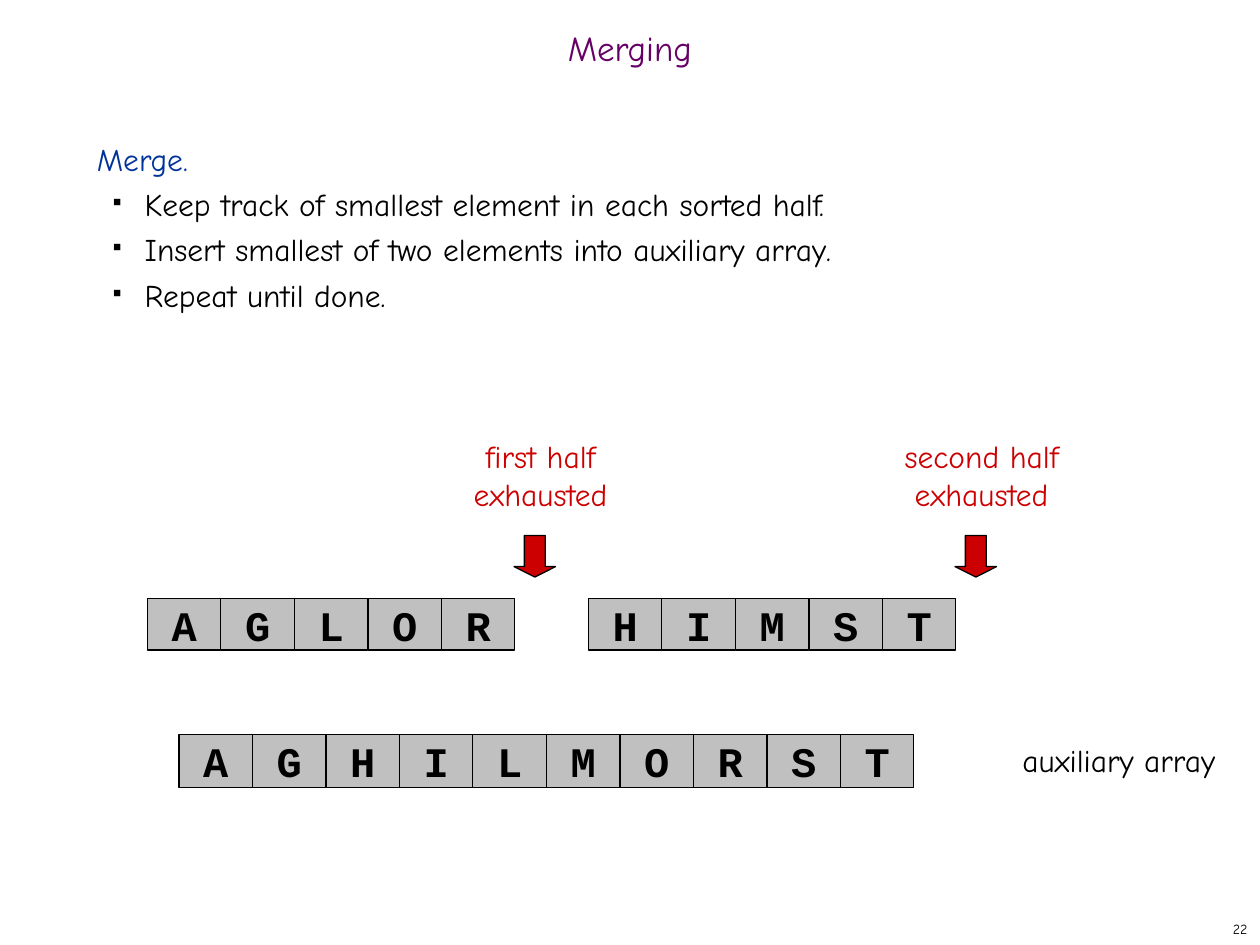
from lxml import etree
from pptx import Presentation
from pptx.dml.color import RGBColor
from pptx.enum.shapes import MSO_SHAPE
from pptx.enum.text import MSO_ANCHOR, MSO_AUTO_SIZE, PP_ALIGN
from pptx.oxml.ns import qn
from pptx.util import Inches, Pt

RECT, ARROW = MSO_SHAPE.RECTANGLE, MSO_SHAPE.DOWN_ARROW
TOP, MID = MSO_ANCHOR.TOP, MSO_ANCHOR.MIDDLE
LEFT, CENTER, RIGHT = PP_ALIGN.LEFT, PP_ALIGN.CENTER, PP_ALIGN.RIGHT
GROW = MSO_AUTO_SIZE.SHAPE_TO_FIT_TEXT
SANS, MONO = "Comic Neue", "Courier New"
BLACK, RED, GRAY, BLUE, PURPLE = "000000", "CC0000", "C0C0C0", "003399", "660066"
CELL = 7 / 12


def color(code):
    return RGBColor.from_string(code)


def inches(box):
    return [Inches(v) for v in box]


def style(par, text, size, ink, font=SANS, bold=False, **form):
    par.text = text
    for name, value in form.items():
        setattr(par, name, value)
    for run in par.runs:
        for name, value in {"name": font, "size": Pt(size), "bold": bold}.items():
            setattr(run.font, name, value)
        run.font.color.rgb = color(ink)


def frame(shape, anchor=TOP, wrap=True):
    body = shape.text_frame
    body.word_wrap = wrap
    body.vertical_anchor = anchor
    return body


def label(slide, box, text, size, ink, anchor=TOP, wrap=True, grow=False, **form):
    body = frame(slide.shapes.add_textbox(*inches(box)), anchor, wrap)
    if grow:
        body.auto_size = GROW
    style(body.paragraphs[0], text, size, ink, **form)


def block(shapes, kind, box, fill, line=BLACK):
    shape = shapes.add_shape(kind, *inches(box))
    shape.shadow.inherit = False
    shape.fill.solid()
    shape.fill.fore_color.rgb = color(fill)
    shape.line.color.rgb = color(line)
    shape.line.width = Pt(0.74)
    return shape


def array(slide, left, top, height, letters):
    group = slide.shapes.add_group_shape()
    for i, letter in enumerate(letters):
        cell = block(group.shapes, RECT, (left + i * CELL, top, CELL, height), GRAY)
        style(frame(cell, MID, False).paragraphs[0], letter, 24, BLACK, MONO, True,
              alignment=CENTER)


def pointer(slide, left, top, text, tip):
    label(slide, (left, top, 2.08, 0.7), text, 18, RED, grow=True,
          alignment=CENTER, space_before=Pt(11.2))
    arrow = block(slide.shapes, ARROW, (tip, top + 0.83, 0.33, 0.33), RED, "010000")
    arrow.adjustments[0], arrow.adjustments[1] = 0.5, 0.25


def bullet(par):
    par.level = 1
    props = par._p.get_or_add_pPr()
    props.set("marL", str(Inches(0.38)))
    props.set("indent", str(Inches(-0.25)))
    ink = etree.SubElement(props, qn("a:buClr"))
    etree.SubElement(ink, qn("a:srgbClr"), val=BLACK)
    etree.SubElement(props, qn("a:buSzPct"), val="35000")
    etree.SubElement(props, qn("a:buChar"), char="■")


def points(slide, box, head, items):
    body = frame(slide.shapes.add_textbox(*inches(box)))
    style(body.paragraphs[0], head, 18, BLUE, alignment=LEFT, line_spacing=Pt(25.9))
    for item in items:
        par = body.add_paragraph()
        style(par, item, 18, BLACK, alignment=LEFT, line_spacing=Pt(25.9))
        bullet(par)


deck = Presentation()
deck.slide_width, deck.slide_height = inches((10, 7.5))
slide = deck.slides.add_slide(deck.slide_layouts[6])

# Page number and array caption
label(slide, (7.92, 7.25, 2.08, 0.25), "22", 8, BLACK, MID, False, alignment=RIGHT)
label(slide, (7.92, 5.83, 1.92, 0.4), "auxiliary array", 18, BLACK, grow=True,
      alignment=CENTER, space_before=Pt(11.2))

# Pointers past the end of each half
pointer(slide, 3.25, 3.42, "first half\nexhausted", 4.08)
pointer(slide, 6.75, 3.42, "second half\nexhausted", 7.58)

# Sorted halves and merged array
array(slide, 1.17, 4.75, 0.41, "AGLOR")
array(slide, 4.67, 4.75, 0.41, "HIMST")
array(slide, 1.42, 5.83, 0.42, "AGHILMORST")

# Title and steps
label(slide, (0, 0.17, 10, 0.5), "Merging", 20, PURPLE, MID,
      alignment=CENTER, line_spacing=0.7)
points(slide, (0.67, 1, 8.58, 5.92), "Merge.", [
    "Keep track of smallest element in each sorted half.",
    "Insert smallest of two elements into auxiliary array.",
    "Repeat until done.",
])

deck.save("out.pptx")
